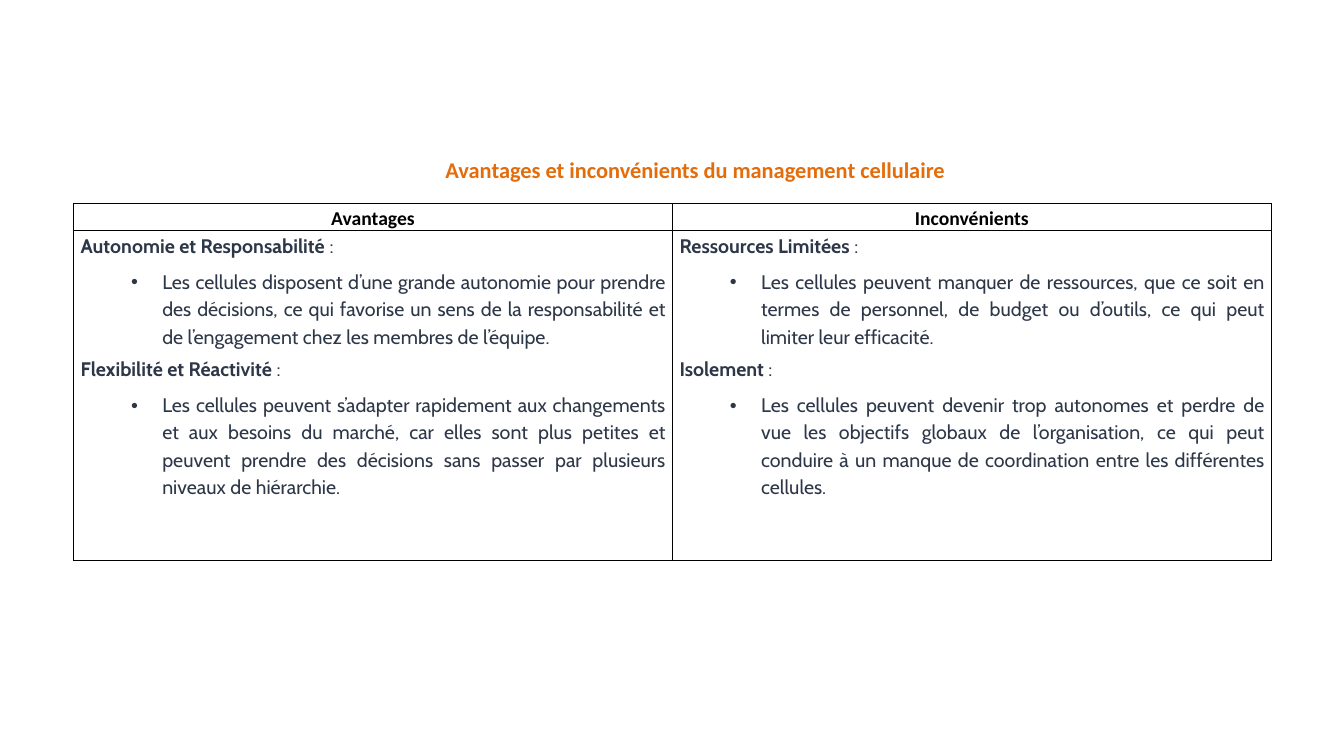
"""Build a slide comparing the advantages and drawbacks of cellular management."""
from dataclasses import dataclass
from typing import Any

import lxml.etree
import pptx
import pptx.dml.color
import pptx.enum.text
import pptx.oxml.ns
import pptx.util

Inches = pptx.util.Inches
Pt = pptx.util.Pt
ALIGN = pptx.enum.text.PP_ALIGN
ORANGE = pptx.dml.color.RGBColor(0xE4, 0x6C, 0x0A)
SLATE = pptx.dml.color.RGBColor(0x2D, 0x37, 0x48)
BLACK = pptx.dml.color.RGBColor(0x00, 0x00, 0x00)

TITLE_FONT = {"name": "Calibri", "size": Pt(16), "bold": True}
HEADER_FONT = {"name": "Calibri", "size": Pt(14), "bold": True}
TOPIC_FONT = {"name": "Cabin", "size": Pt(14), "bold": True}
BODY_FONT = {"name": "Cabin", "size": Pt(14), "bold": False}

HEADER_FORMAT = {"alignment": ALIGN.CENTER, "line_spacing": 1.15}
TOPIC_FORMAT = {"alignment": ALIGN.LEFT, "line_spacing": 1.15, "space_after": Pt(6)}
BULLET_FORMAT = {"alignment": ALIGN.JUSTIFY, "line_spacing": 1.15,
                 "space_after": Pt(3.6), "level": 1}
CELL_FORMAT = {"margin_left": Inches(0.07), "margin_right": Inches(0.07),
               "margin_top": 0, "margin_bottom": 0}


@dataclass(frozen=True)
class Topic:
    """A bold heading and the bullet that explains it."""
    heading: str
    detail: str


@dataclass(frozen=True)
class Column:
    """One side of the comparison."""
    header: str
    topics: tuple[Topic, ...]


COLUMNS = (
    Column("Avantages", (
        Topic("Autonomie et Responsabilité",
              "Les cellules disposent d’une grande autonomie pour prendre des décisions, "
              "ce qui favorise un sens de la responsabilité et de l’engagement chez les "
              "membres de l’équipe."),
        Topic("Flexibilité et Réactivité",
              "Les cellules peuvent s’adapter rapidement aux changements et aux besoins du "
              "marché, car elles sont plus petites et peuvent prendre des décisions sans "
              "passer par plusieurs niveaux de hiérarchie."),
    )),
    Column("Inconvénients", (
        Topic("Ressources Limitées",
              "Les cellules peuvent manquer de ressources, que ce soit en termes de "
              "personnel, de budget ou d’outils, ce qui peut limiter leur efficacité."),
        Topic("Isolement",
              "Les cellules peuvent devenir trop autonomes et perdre de vue les objectifs "
              "globaux de l’organisation, ce qui peut conduire à un manque de coordination "
              "entre les différentes cellules."),
    )),
)


def apply_format(target: Any, values: dict[str, Any]) -> None:
    """Set each named attribute on the target."""
    for name, value in values.items():
        setattr(target, name, value)


def add_run(paragraph: Any, text: str, font: dict[str, Any], color: Any) -> None:
    """Append a formatted run to the paragraph."""
    run = paragraph.add_run()
    run.text = text
    apply_format(run.font, font)
    run.font.color.rgb = color


def add_bullet(paragraph: Any) -> None:
    """Give the paragraph a hanging bullet."""
    properties = paragraph._p.get_or_add_pPr()
    properties.set("marL", str(Inches(0.81)))
    properties.set("indent", str(Inches(-0.31)))
    for tag, name, value in (("a:buFont", "typeface", "Arial"), ("a:buChar", "char", "•")):
        element = lxml.etree.SubElement(properties, pptx.oxml.ns.qn(tag))
        element.set(name, value)


def style_cell(cell: Any) -> None:
    """Set the margins, the empty fill and the black borders of a cell."""
    apply_format(cell, CELL_FORMAT)
    cell.fill.background()
    properties = cell._tc.get_or_add_tcPr()
    for position, side in enumerate("LRTB"):
        line = lxml.etree.Element(pptx.oxml.ns.qn(f"a:ln{side}"), w=str(Pt(1)))
        fill = lxml.etree.SubElement(line, pptx.oxml.ns.qn("a:solidFill"))
        lxml.etree.SubElement(fill, pptx.oxml.ns.qn("a:srgbClr"), val=str(BLACK))
        properties.insert(position, line)


def fill_topics(cell: Any, topics: tuple[Topic, ...]) -> None:
    """Write each topic as a heading followed by a bullet."""
    frame = cell.text_frame
    for index, topic in enumerate(topics):
        heading = frame.add_paragraph() if index else frame.paragraphs[0]
        apply_format(heading, TOPIC_FORMAT)
        add_run(heading, topic.heading, TOPIC_FONT, SLATE)
        add_run(heading, "\u00a0:", BODY_FONT, SLATE)
        detail = frame.add_paragraph()
        add_bullet(detail)
        apply_format(detail, BULLET_FORMAT)
        add_run(detail, topic.detail, BODY_FONT, SLATE)


def add_title(slide: Any) -> None:
    """Add the slide title."""
    box = slide.shapes.add_textbox(Inches(4.32), Inches(1.5), Inches(7.89), Inches(0.37))
    box.text_frame.word_wrap = True
    add_run(box.text_frame.paragraphs[0],
            "Avantages et inconvénients du management cellulaire", TITLE_FONT, ORANGE)


def add_comparison(slide: Any) -> None:
    """Add the two-column comparison table."""
    table = slide.shapes.add_table(2, len(COLUMNS), Inches(0.73), Inches(2.02),
                                   Inches(11.88), Inches(3.54)).table
    apply_format(table, {"first_row": False, "horz_banding": False})
    for row, height in zip(table.rows, (0.27, 3.27)):
        row.height = Inches(height)
    for index, column in enumerate(COLUMNS):
        header, body = table.cell(0, index), table.cell(1, index)
        for cell in (header, body):
            style_cell(cell)
        paragraph = header.text_frame.paragraphs[0]
        apply_format(paragraph, HEADER_FORMAT)
        add_run(paragraph, column.header, HEADER_FONT, BLACK)
        fill_topics(body, column.topics)


def main() -> None:
    """Create and save the presentation."""
    presentation = pptx.Presentation()
    apply_format(presentation, {"slide_width": Inches(13.33), "slide_height": Inches(7.5)})
    slide = presentation.slides.add_slide(presentation.slide_layouts[6])
    add_title(slide)
    add_comparison(slide)
    presentation.save("out.pptx")


if __name__ == "__main__":
    main()
